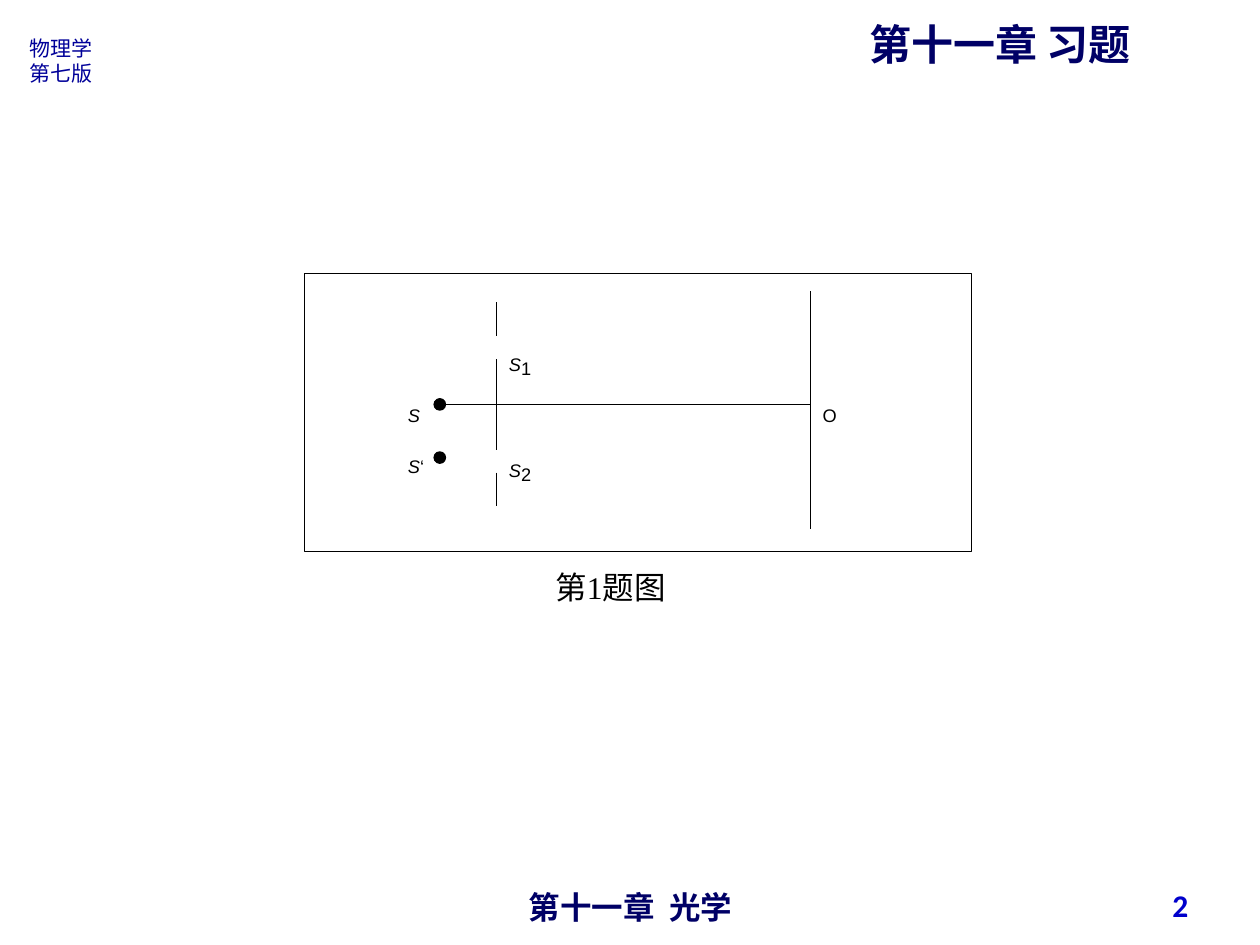
from lxml.etree import SubElement
from pptx import Presentation
from pptx.dml.color import RGBColor
from pptx.enum.shapes import MSO_CONNECTOR, MSO_SHAPE
from pptx.enum.text import MSO_ANCHOR, PP_ALIGN
from pptx.oxml.ns import qn
from pptx.util import Pt

COLORS = {"navy": "000066", "blue": "000099", "number": "0000CC", "ink": "000000"}
CJK = "Noto Sans CJK SC"


def fill_text(shape, lines, color, size=18, bold=False,
              align=PP_ALIGN.LEFT, anchor=MSO_ANCHOR.TOP):
    """Write lines of (text, font, italic, baseline) runs into a shape."""
    frame = shape.text_frame
    margins = {"margin_left": 7.2, "margin_right": 7.2,
               "margin_top": 3.6, "margin_bottom": 3.6}
    for name, value in margins.items():
        setattr(frame, name, Pt(value))
    frame.word_wrap = True
    frame.vertical_anchor = anchor
    for index, runs in enumerate(lines):
        paragraph = frame.add_paragraph() if index else frame.paragraphs[0]
        paragraph.alignment = align
        paragraph.space_before = Pt(0)
        for text, font, italic, baseline in runs:
            run = paragraph.add_run()
            run.text = text
            values = {"name": font, "size": Pt(size), "bold": bold, "italic": italic}
            for name, value in values.items():
                setattr(run.font, name, value)
            run.font.color.rgb = RGBColor.from_string(COLORS[color])
            properties = run.font._element
            SubElement(properties, qn("a:ea")).set("typeface", CJK)
            if baseline:
                properties.set("baseline", str(baseline * 1000))


presentation = Presentation()
presentation.slide_width, presentation.slide_height = Pt(720), Pt(540)
slide = presentation.slides.add_slide(presentation.slide_layouts[5])
shapes = slide.shapes
ink = RGBColor.from_string(COLORS["ink"])

# Title
title = shapes.title
title.left, title.top, title.width, title.height = Pt(489.6), Pt(7.2), Pt(180), Pt(36)
fill_text(title, [[("第十一章 习题", CJK, False, 0)]], "navy", 24, True)

# Book name, footer, page number and figure caption
book = [[("物理学", CJK, False, 0)], [("第七版", CJK, False, 0)]]
chapter = [[("第十一章  光学", "Arial", False, 0)]]
number = [[("2", "Calibri", False, 0)]]
caption = [[("第", "Arial", False, 0), ("1", "Times New Roman", False, 0),
            ("题图", "Arial", False, 0)]]
for box, lines, style in (
    ((10, 16.5, 52, 36), book, {"color": "blue", "size": 12}),
    ((246.2, 504, 228.2, 21), chapter,
     {"color": "navy", "bold": True, "align": PP_ALIGN.CENTER}),
    ((518.4, 502.5, 167.8, 28.8), number,
     {"color": "number", "bold": True, "align": PP_ALIGN.RIGHT,
      "anchor": MSO_ANCHOR.MIDDLE}),
    ((310.3, 321, 96.5, 29), caption, {"color": "ink"}),
):
    fill_text(shapes.add_textbox(*map(Pt, box)), lines, **style)

# Double-slit diagram: frame
frame_box = shapes.add_shape(MSO_SHAPE.RECTANGLE, Pt(174.2), Pt(156.2), Pt(380.9), Pt(159))
frame_box.shadow.inherit = False
frame_box.fill.background()
frame_box.line.color.rgb = ink
frame_box.line.width = Pt(0.75)

# Screen, optical axis and the three parts of the slit barrier
source_x, barrier_x, screen_x, axis_y = 251.3, 283.7, 463, 231.1
for x1, y1, x2, y2 in (
    (screen_x, 166.5, screen_x, 302.5),
    (source_x, axis_y, screen_x, axis_y),
    (barrier_x, 172.8, barrier_x, 192.2),
    (barrier_x, 205.2, barrier_x, 257),
    (barrier_x, 270, barrier_x, 289.4),
):
    line = shapes.add_connector(MSO_CONNECTOR.STRAIGHT, Pt(x1), Pt(y1), Pt(x2), Pt(y2))
    line.line.color.rgb = ink
    line.line.width = Pt(0.75)
    SubElement(line._element.spPr, qn("a:effectLst"))

# Light sources
dot_size = 6.5
for center_y in (axis_y, 261.5):
    dot = shapes.add_shape(MSO_SHAPE.OVAL, Pt(source_x - dot_size / 2),
                           Pt(center_y - dot_size / 2), Pt(dot_size), Pt(dot_size))
    dot.shadow.inherit = False
    dot.fill.solid()
    dot.fill.fore_color.rgb = ink
    dot.line.color.rgb = ink
    dot.line.width = Pt(0.75)

# Point labels: letter, then its mark
label_x = 226
for x, y, letter, italic, mark, drop in (
    (barrier_x, 186, "S", True, "1", -39),
    (barrier_x, 246.6, "S", True, "2", -39),
    (label_x, 215.3, "S", True, "", 0),
    (label_x, 244.3, "S", True, "‘", -25),
    (screen_x, 215.3, "O", False, "", 0),
):
    runs = [(letter, "Arial", italic, -25)]
    if mark:
        runs.append((mark, "Arial", False, drop))
    fill_text(shapes.add_textbox(Pt(x), Pt(y), Pt(31.7), Pt(32)), [runs], "ink")

presentation.save("out.pptx")
